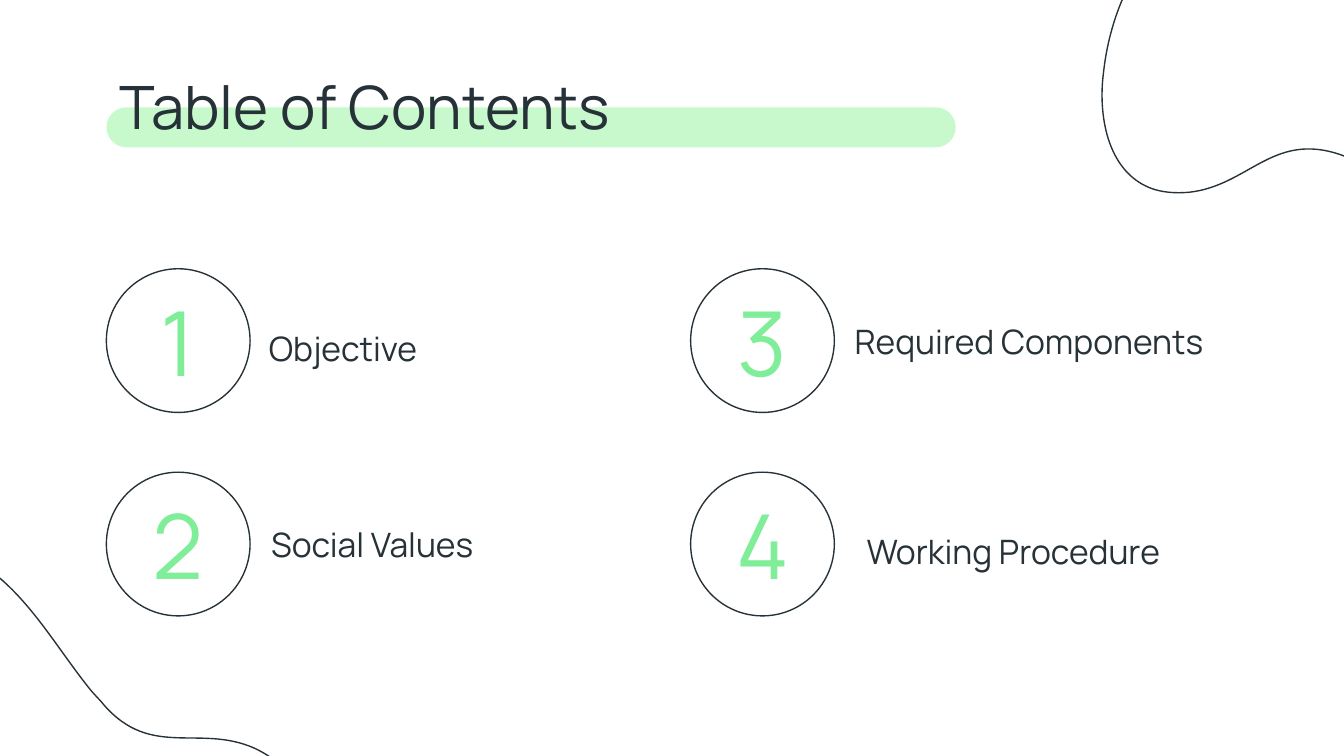
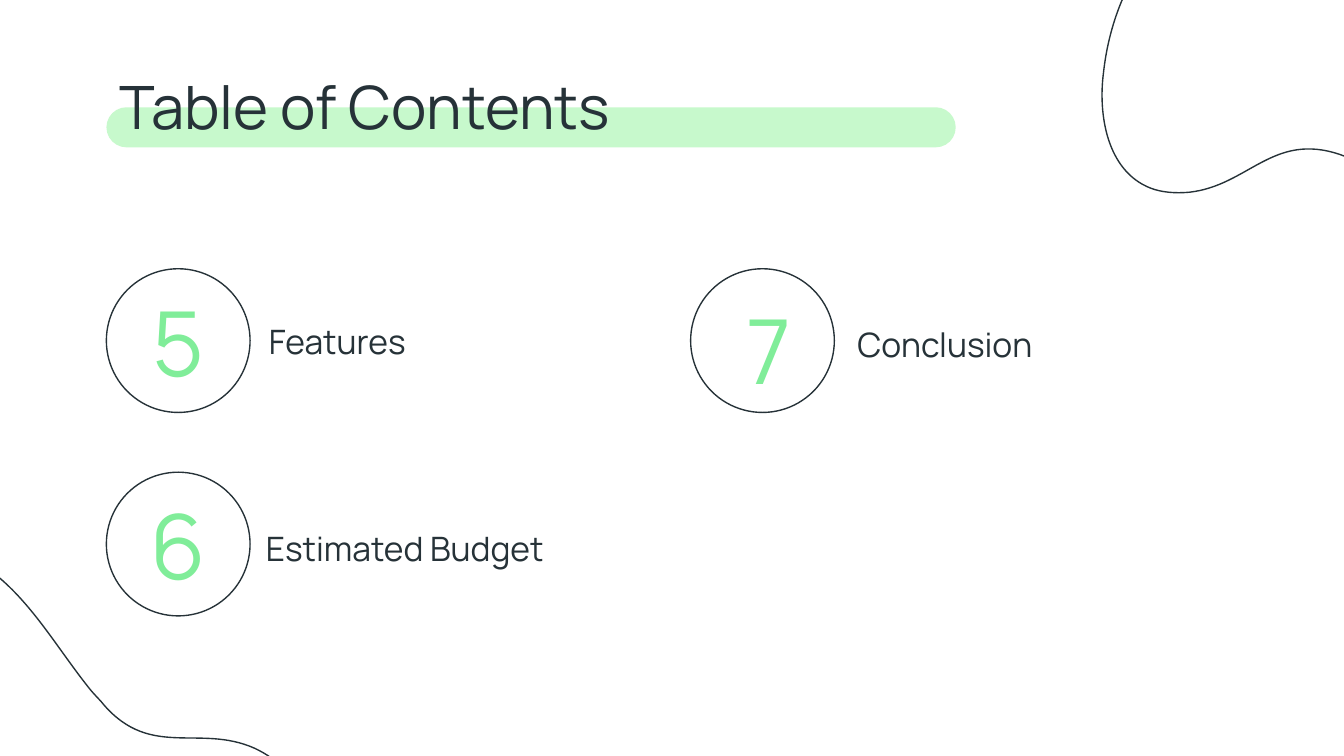
import math

from lxml import etree
from pptx import Presentation
from pptx.dml.color import RGBColor
from pptx.enum import shapes, text
from pptx.oxml import ns
from pptx.util import Pt

INK, GREEN, PALE, WHITE = "263238", "80ED99", "C7F9CC", "FFFFFF"
FONT = "Manrope"
CIRCLE = 77
COLUMNS, ROWS = (57, 370), (144, 253)

BLOB = [
    (-131, 74.5),
    (-125.3, 76.7), (-118.1, 77.4), (-110.2, 76.7),
    (-78.5, 73.1), (-65.5, 44.3), (-29.5, 56.5),
    (-25.9, 58), (-22.3, 58.7), (-18.7, 60.1),
    (-2.2, 66.6), (13, 74.5), (28.1, 80.3),
    (46.8, 87.5), (64.8, 91.8), (89.3, 88.2),
    (130.3, 83.2), (147.6, 58.7), (152.6, 24.8),
    (162.7, -34.2), (125.3, -77.4), (71.3, -98.3),
    (48.2, -106.9), (22.3, -111.2), (-4.3, -111.2),
    (-89.3, -111.2), (-148.3, -59.4), (-156.2, 12.6),
    (-159.1, 34.2), (-154.8, 65.2), (-131, 74.5),
]

AGENDA = [
    [
        dict(number="1", label="Objective", label_at=(80, 24.5), after=16),
        dict(number="2", label="Social Values", label_at=(81.2, 20.6)),
        dict(number="3", label="Required Components", label_at=(80.7, 20.9), width=251),
        dict(number="4", label="Working Procedure", label_at=(87.2, 24.2)),
    ],
    [
        dict(number="5", label="Features", label_at=(80, 20.9), after=16),
        dict(number="6", label="Estimated Budget", label_at=(78.4, 22.8)),
        dict(number="7", label="Conclusion", label_at=(82.2, 22.3), width=251, nudge=(3.6, 4.3)),
    ],
]


def color(value):
    return RGBColor.from_string(value)


def style(sp, fill=None, line=None):
    sp.shadow.inherit = False
    if fill:
        sp.fill.solid()
        sp.fill.fore_color.rgb = color(fill)
    else:
        sp.fill.background()
    if line:
        sp.line.color.rgb = color(line)
        sp.line.width = Pt(0.75)
    else:
        sp.line.fill.background()


def add_shape(s, kind, box, **look):
    sp = s.shapes.add_shape(kind, *map(Pt, box))
    style(sp, **look)
    return sp


def add_text(s, content, box, size=18, ink=INK, align=text.PP_ALIGN.LEFT,
             anchor=text.MSO_ANCHOR.TOP, after=0):
    tf = s.shapes.add_textbox(*map(Pt, box)).text_frame
    tf.word_wrap = True
    tf.vertical_anchor = anchor
    tf.margin_left = tf.margin_right = tf.margin_top = tf.margin_bottom = Pt(7.2)
    p = tf.paragraphs[0]
    p.alignment = align
    p.space_after = Pt(after)
    r = p.add_run()
    r.text = content
    r.font.name = FONT
    r.font.size = Pt(size)
    r.font.color.rgb = color(ink)


def add_blob(s, center_x, center_y, turn=0):
    cos, sin = math.cos(math.radians(turn)), math.sin(math.radians(turn))
    points = [(Pt(center_x + x * cos - y * sin), Pt(center_y + x * sin + y * cos))
              for x, y in BLOB]
    builder = s.shapes.build_freeform(*points[0], scale=1.0)
    builder.add_line_segments(points[1:], close=True)
    sp = builder.convert_to_shape()
    lines = sp._element.xpath(".//a:lnTo")
    for i in range(0, len(lines), 3):
        curve = etree.Element(ns.qn("a:cubicBezTo"))
        lines[i].addprevious(curve)
        for line in lines[i:i + 3]:
            curve.append(line[0])
            line.getparent().remove(line)
    style(sp, line=INK)


def add_frame(s, title):
    s.background.fill.solid()
    s.background.fill.fore_color.rgb = color(WHITE)
    band = add_shape(s, shapes.MSO_SHAPE.ROUNDED_RECTANGLE, (57, 57.5, 455, 21.5), fill=PALE)
    band.adjustments[0] = 0.5
    add_blob(s, 747.4, 26.3)
    add_blob(s, 2.2, 412.2, turn=-150.1)
    add_text(s, title, (57, 30.2, 607, 48.2), size=32)


def add_item(s, left, top, number, label, label_at, width=211, after=0, nudge=(0, 0)):
    add_shape(s, shapes.MSO_SHAPE.OVAL, (left, top, CIRCLE, CIRCLE), line=INK)
    w, h = 70, 55.5
    number_box = (left + (CIRCLE - w) / 2 + nudge[0], top + (CIRCLE - h) / 2 + nudge[1], w, h)
    add_text(s, number, number_box, size=48, ink=GREEN,
             align=text.PP_ALIGN.CENTER, anchor=text.MSO_ANCHOR.MIDDLE)
    add_text(s, label, (left + label_at[0], top + label_at[1], width, 29.5), after=after)


def add_contents(prs, items):
    s = prs.slides.add_slide(prs.slide_layouts[6])
    add_frame(s, "Table of Contents")
    for i, item in enumerate(items):
        column, row = divmod(i, len(ROWS))
        add_item(s, COLUMNS[column], ROWS[row], **item)


def main():
    prs = Presentation()
    prs.slide_width, prs.slide_height = Pt(720), Pt(405)
    for items in AGENDA:
        add_contents(prs, items)
    prs.save("out.pptx")


if __name__ == "__main__":
    main()
